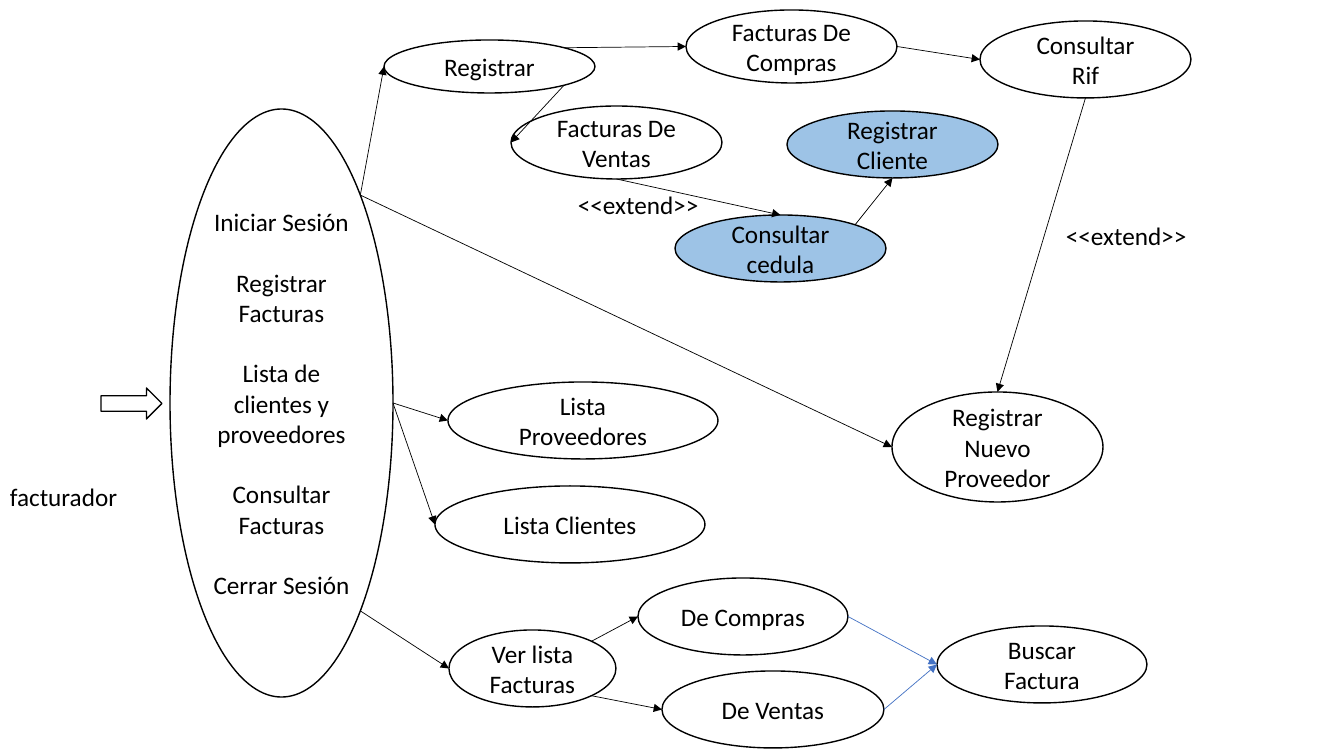
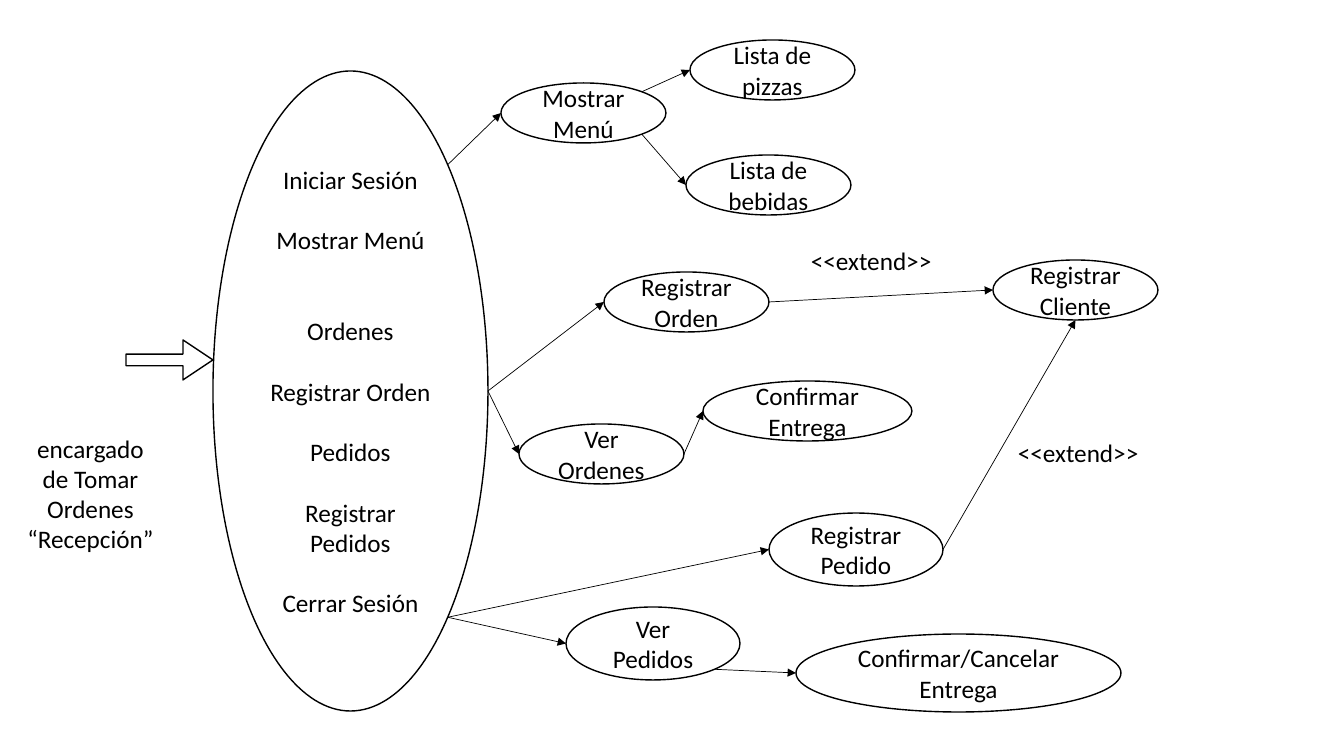
from math import cos, pi, sin

from lxml.etree import SubElement
from pptx import Presentation
from pptx.dml.color import RGBColor
from pptx.enum.shapes import MSO_CONNECTOR, MSO_SHAPE
from pptx.enum.text import MSO_ANCHOR, PP_ALIGN
from pptx.oxml.ns import qn
from pptx.util import Pt

WIDE, HIGH = 1344, 756
SCALE = 12192000 / WIDE

BLACK = RGBColor(0, 0, 0)
WHITE = RGBColor(255, 255, 255)
SKY = RGBColor(0x9D, 0xC3, 0xE6)
BLUE = RGBColor(0x44, 0x72, 0xC4)

FONT = {"name": "Calibri", "size": Pt(18)}
CASE = {"word_wrap": True, "vertical_anchor": MSO_ANCHOR.MIDDLE}
LABEL = {"word_wrap": True, "vertical_anchor": MSO_ANCHOR.TOP}
NOTE = {"word_wrap": False, "vertical_anchor": MSO_ANCHOR.TOP}
GAP = 21.6  # one text line, in points

# Connection sites of an ellipse, counted anticlockwise from the top
TOP, LEFT, LOW, LOWER, RIGHT, UPPER = 0, 2, 4, 5, 6, 7


def px(num):
    return round(num * SCALE)


def style(item, form):
    for key, value in form.items():
        setattr(item, key, value)


def write(frame, lines, form, align=PP_ALIGN.CENTER):
    """Fill a frame with (text, lines of space before) pairs."""
    style(frame, form)
    for num, (text, skip) in enumerate(lines):
        para = frame.add_paragraph() if num else frame.paragraphs[0]
        para.text = text
        style(para, {"alignment": align, "space_before": Pt(skip * GAP)})
        for run in para.runs:
            style(run.font, FONT)
            run.font.color.rgb = BLACK


def draw(slide, kind, box, fill=WHITE, lines=()):
    shape = slide.shapes.add_shape(kind, *map(px, box))
    shape.shadow.inherit = False
    shape.fill.solid()
    shape.fill.fore_color.rgb = fill
    shape.line.color.rgb = BLACK
    shape.line.width = Pt(1)
    write(shape.text_frame, lines, CASE)
    return shape


def label(slide, box, lines, form, align=PP_ALIGN.CENTER):
    frame = slide.shapes.add_textbox(*map(px, box)).text_frame
    write(frame, lines, form, align)


def point(shape, site):
    """Place of a connection site on the rim of an ellipse."""
    turn = site * pi / 4
    half, tall = shape.width / 2, shape.height / 2
    return (round(shape.left + half * (1 - sin(turn))),
            round(shape.top + tall * (1 - cos(turn))))


def link(slide, start, exit, end, entry, color=BLACK):
    ends = point(start, exit) + point(end, entry)
    line = slide.shapes.add_connector(MSO_CONNECTOR.STRAIGHT, *ends)
    # Join both ends, then move them to the ellipse's own sites
    line.begin_connect(start, TOP)
    line.end_connect(end, TOP)
    for tag, site in (("stCxn", exit), ("endCxn", entry)):
        line.element.find(".//" + qn("a:" + tag)).set("idx", str(site))
    style(line, dict(zip(("begin_x", "begin_y", "end_x", "end_y"), ends)))
    line.line.color.rgb = color
    line.line.width = Pt(0.5)
    SubElement(line.element.find(".//" + qn("a:ln")), qn("a:tailEnd"),
               type="triangle")
    SubElement(line.element.spPr, qn("a:effectLst"))


def actor(slide, box, lines, arrow, width, bend=()):
    """Arrow at the top right of the box, name at its bottom left."""
    left, top, wide, high = box
    across, down = arrow
    shape = draw(slide, MSO_SHAPE.RIGHT_ARROW,
                 (left + wide - across, top, across, down))
    for num, value in enumerate(bend):
        shape.adjustments[num] = value
    label(slide, (left, top + 88, width, high - 88), lines, LABEL)


def graph(slide, box, kind, main, cases, links, notes):
    """Use cases, the arrows between them and their notes."""
    left, top = box[:2]
    nodes = {"main": main}
    for name, (text, x, y, wide, high, *fill) in cases.items():
        nodes[name] = draw(slide, kind, (left + x, top + y, wide, high),
                           *(fill or [WHITE]), lines=[(text, 0)])
    for start, exit, end, entry, *color in links:
        link(slide, nodes[start], exit, nodes[end], entry, *color)
    for x, y in notes:
        label(slide, (left + x, top + y, 142, 40), [("<<extend>>", 0)],
              NOTE, PP_ALIGN.LEFT)


def billing(slide, box):
    left, top, wide, high = box
    menu = [("Iniciar Sesión", 0), ("Registrar Facturas", 1),
            ("Lista de clientes y proveedores", 1), ("Consultar", 1),
            ("Facturas", 0), ("Cerrar Sesión", 1)]
    main = draw(slide, MSO_SHAPE.OVAL, (left + 170, top + 109, 223, 588),
                lines=menu)
    actor(slide, (left - 7, top + 388, 169, 128), [("facturador", 0)],
          (61, 31), 141)
    cases = {
        "reg": ("Registrar", 4, 40, 211, 53),
        "buy": ("Facturas De Compras", 306, 10, 211, 73),
        "sell": ("Facturas De Ventas", 131, 106, 211, 73),
        "rif": ("Consultar Rif", 600, 21, 211, 77),
        "new": ("Registrar Nuevo Proveedor", 512, 392, 211, 110),
        "card": ("Consultar cedula", 295, 215, 211, 67, SKY),
        "client": ("Registrar Cliente", 407, 111, 211, 67, SKY),
        "firms": ("Lista Proveedores", 68, 382, 270, 77),
        "people": ("Lista Clientes", 55, 486, 270, 77),
        "view": ("Ver lista Facturas", 69, 630, 167, 77),
        "bought": ("De Compras", 258, 578, 210, 77),
        "sold": ("De Ventas", 282, 671, 222, 77),
        "find": ("Buscar Factura", 557, 626, 210, 77),
    }
    links = [
        ("main", UPPER, "reg", LEFT), ("main", UPPER, "new", LEFT),
        ("main", RIGHT, "firms", LEFT), ("main", RIGHT, "people", LEFT),
        ("main", LOWER, "view", LEFT), ("reg", UPPER, "buy", LEFT),
        ("reg", LOWER, "sell", LEFT), ("buy", RIGHT, "rif", LEFT),
        ("rif", LOW, "new", TOP), ("sell", LOW, "card", TOP),
        ("card", UPPER, "client", LOW), ("view", UPPER, "bought", LEFT),
        ("view", LOWER, "sold", LEFT), ("bought", RIGHT, "find", LEFT, BLUE),
        ("sold", RIGHT, "find", LEFT, BLUE),
    ]
    graph(slide, (left + 380, top, wide - 380, high),
          MSO_SHAPE.FLOWCHART_CONNECTOR, main, cases, links,
          [(676, 215), (188, 184)])


def orders(slide, box):
    left, top, wide, high = box
    menu = [("Iniciar Sesión", 0), ("Mostrar Menú", 1), ("Ordenes", 2),
            ("Registrar Orden", 1), ("Pedidos", 1),
            ("Registrar\vPedidos", 1), ("Cerrar Sesión", 1)]
    main = draw(slide, MSO_SHAPE.OVAL, (left + 213, top + 71, 275, 640),
                lines=menu)
    actor(slide, (left + 12, top + 340, 201, 220),
          [("encargado de Tomar Ordenes", 0), ("“Recepción”", 0)],
          (87, 40), 157, (0.29, 0.75))
    small, mid = (165, 60), (174, 73)
    cases = {
        "menu": ("Mostrar Menú", 1, 83, *small),
        "pizza": ("Lista de pizzas", 190, 40, *small),
        "drink": ("Lista de bebidas", 186, 155, *small),
        "order": ("Registrar Orden", 104, 272, *small),
        "client": ("Registrar Cliente", 493, 260, *small),
        "view": ("Ver Ordenes", 19, 424, *small),
        "check": ("Confirmar Entrega", 203, 381, 209, 60),
        "ask": ("Registrar Pedido", 269, 513, *mid),
        "asked": ("Ver Pedidos", 66, 607, *mid),
        "close": ("Confirmar/Cancelar Entrega", 296, 634, 325, 78),
    }
    links = [
        ("main", UPPER, "menu", LEFT), ("menu", UPPER, "pizza", LEFT),
        ("menu", LOWER, "drink", LEFT), ("main", RIGHT, "order", LEFT),
        ("main", RIGHT, "view", LEFT), ("order", RIGHT, "client", LEFT),
        ("view", RIGHT, "check", LEFT), ("main", LOWER, "ask", LEFT),
        ("main", LOWER, "asked", LEFT), ("ask", RIGHT, "client", LOW),
        ("asked", LOWER, "close", LEFT),
    ]
    graph(slide, (left + 500, top, wide - 500, high), MSO_SHAPE.OVAL,
          main, cases, links, [(301, 240), (508, 432)])


def main():
    deck = Presentation()
    style(deck, {"slide_width": px(WIDE), "slide_height": px(HIGH)})
    for build in (billing, orders):
        build(deck.slides.add_slide(deck.slide_layouts[6]),
              (0, 0, WIDE, HIGH))
    deck.save("out.pptx")


if __name__ == "__main__":
    main()
